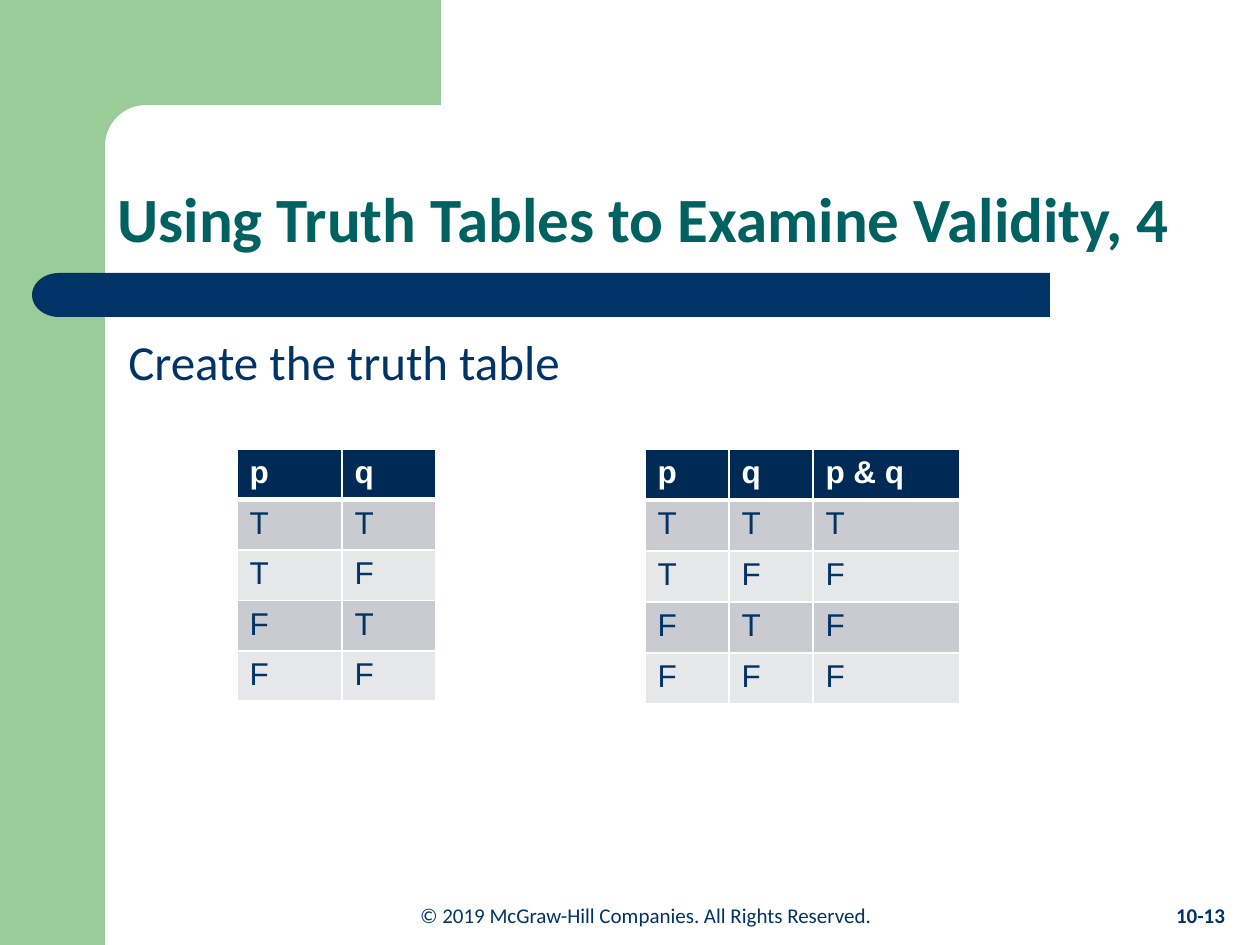
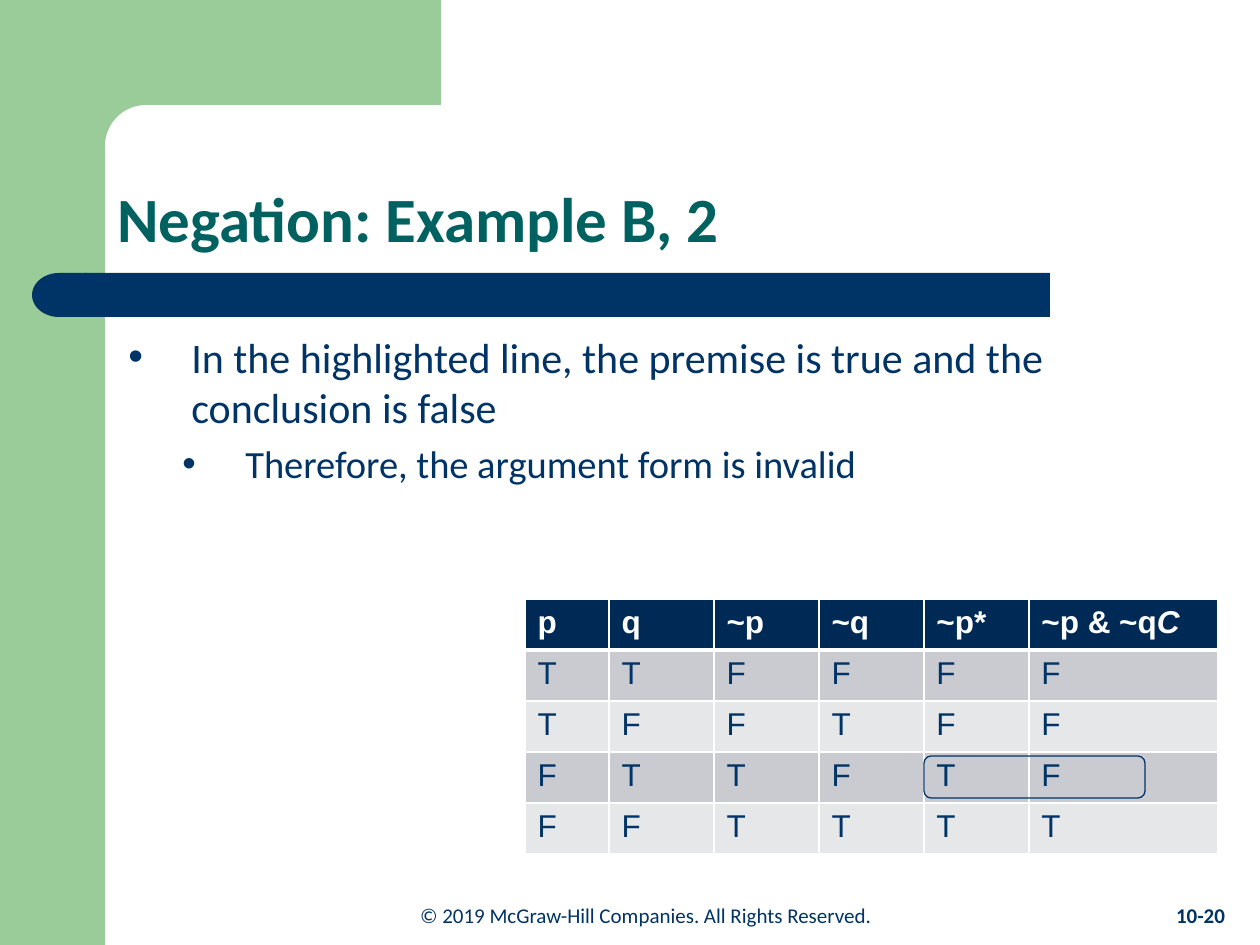
import math
from lxml import etree
from pptx import Presentation
from pptx.dml.color import RGBColor
from pptx.enum.shapes import MSO_SHAPE
from pptx.enum.text import MSO_ANCHOR, PP_ALIGN
from pptx.oxml.ns import qn
from pptx.util import Emu, Pt

RECT = MSO_SHAPE.RECTANGLE
ROUNDED = MSO_SHAPE.ROUNDED_RECTANGLE
DELAY = MSO_SHAPE.FLOWCHART_DELAY
CENTER = PP_ALIGN.CENTER
LEFT = PP_ALIGN.LEFT
TOP = MSO_ANCHOR.TOP
BOTTOM = MSO_ANCHOR.BOTTOM

SCALE = 914400 / 126
PAGE_WIDTH, PAGE_HEIGHT = 1260, 945
COLORS = {
    "green": "99CC99",
    "navy": "003366",
    "teal": "006161",
    "header": "002A56",
    "odd": "CACBD0",
    "even": "E6E7E9",
    "white": "FFFFFF",
}
COPYRIGHT = "© 2019 McGraw-Hill Companies. All Rights Reserved."
TITLE_BOX = (105, 105, 1092, 157)
BODY_BOX = (116, 325, 1060, 513)


def px(length):
    return Emu(round(length * SCALE))


def rgb(name):
    return RGBColor.from_string(COLORS[name])


def paint(shape, color):
    shape.shadow.inherit = False
    shape.fill.solid()
    shape.fill.fore_color.rgb = rgb(color)
    shape.line.fill.background()


def add_block(page, kind, box, color):
    block = page.shapes.add_shape(kind, *map(px, box))
    paint(block, color)
    return block


def style_font(font, size, color="navy", bold=False, name="Calibri"):
    font.name = name
    font.size = Pt(size)
    font.bold = bold
    font.color.rgb = rgb(color)


def add_text(page, box, text, size, color="navy", bold=False, align=LEFT, anchor=TOP):
    frame = page.shapes.add_textbox(*map(px, box)).text_frame
    frame.word_wrap = True
    frame.vertical_anchor = anchor
    frame.text = text
    for para in frame.paragraphs:
        para.alignment = align
        style_font(para.runs[0].font, size, color, bold)
    return frame


def add_corner(page, left, top, right, bottom, band, radius):
    inner_left, inner_top = left + 42, top + band
    center_x, center_y = inner_left + radius, inner_top + radius
    arc = []
    for step in range(13):
        angle = math.pi / 2 * step / 12
        arc.append((center_x - radius * math.sin(angle), center_y - radius * math.cos(angle)))
    points = [(right, inner_top), *arc, (inner_left, bottom), (left, bottom), (left, top)]
    builder = page.shapes.build_freeform(px(right), px(top))
    builder.add_line_segments([(px(x), px(y)) for x, y in points], close=True)
    paint(builder.convert_to_shape(), "green")


def add_title_bar(page, left, top, width, height):
    cap_width = 54
    add_block(page, RECT, (left + cap_width - 1, top, width - cap_width + 1, height), "navy")
    cap = add_block(page, DELAY, (left, top, cap_width, height), "navy")
    cap.rotation = 180


def add_footer(page, top, height, number):
    add_text(page, (116, top, 1060, height), COPYRIGHT, 12, align=CENTER)
    add_text(page, (1148, top, 105, height), number, 12, bold=True, align=CENTER)


def add_page(deck, title, number):
    page = deck.slides.add_slide(deck.slide_layouts[6])
    add_block(page, RECT, (0, 0, 105, PAGE_HEIGHT), "green")
    add_corner(page, 63, 0, 441, 161, 105, 41)
    add_title_bar(page, 32, 273, 1018, 44)
    add_footer(page, 896, 38, number)
    heading = add_text(page, TITLE_BOX, title, 36, "teal", True, anchor=BOTTOM)
    heading.paragraphs[0].line_spacing = 0.9
    return page


def add_bullet(para, text, size, level, indent, space):
    para.text = text
    para.level = level
    para.space_before = Pt(space)
    properties = para._p.get_or_add_pPr()
    properties.set("marL", str(px(indent)))
    properties.set("indent", str(px(-63)))
    etree.SubElement(properties, qn("a:buFont"), typeface="Arial")
    etree.SubElement(properties, qn("a:buChar"), char="•")
    style_font(para.runs[0].font, size)


def add_border(cell, side, width):
    line = etree.SubElement(cell._tc.get_or_add_tcPr(), qn("a:" + side), w=str(Pt(width)))
    fill = etree.SubElement(line, qn("a:solidFill"))
    etree.SubElement(fill, qn("a:srgbClr"), val=COLORS["white"])


def fill_cell(cell, spans, row):
    para = cell.text_frame.paragraphs[0]
    for index, text in enumerate(spans):
        span = para.add_run()
        span.text = text
        style_font(span.font, 18, "navy" if row else "white", row == 0, "Arial")
        span.font.italic = index > 0
    for side in ("lnL", "lnR", "lnT", "lnB"):
        thick = (row, side) in ((0, "lnB"), (1, "lnT"))
        add_border(cell, side, 3 if thick else 1)
    cell.fill.solid()
    cell.fill.fore_color.rgb = rgb(("odd" if row % 2 else "even") if row else "header")


def add_truth_table(page, left, top, widths, row_height, headers, values):
    rows = [headers] + [[[value] for value in line] for line in values.split()]
    box = (left, top, sum(widths), row_height * len(rows))
    table = page.shapes.add_table(len(rows), len(widths), *map(px, box)).table
    for column, width in zip(table.columns, widths):
        column.width = px(width)
    for row, cells in enumerate(rows):
        table.rows[row].height = px(row_height)
        for column, spans in enumerate(cells):
            fill_cell(table.cell(row, column), spans, row)


def add_highlight(page, box):
    highlight = page.shapes.add_shape(ROUNDED, *map(px, box))
    highlight.shadow.inherit = False
    highlight.fill.background()
    highlight.line.color.rgb = rgb("navy")
    highlight.line.width = Pt(0.75)


def build_validity_page(deck):
    page = add_page(deck, "Using Truth Tables to Examine Validity, 4", "10-13")
    add_text(page, BODY_BOX, "Create the truth table", 28)
    add_truth_table(page, 237, 449, (105, 94), 48, [["p"], ["q"]], "TT TF FT FF")
    add_truth_table(page, 645, 449, (84, 84, 147), 51,
                    [["p"], ["q"], ["p & q"]], "TTT TFF FTF FFF")


def build_negation_page(deck):
    page = add_page(deck, "Negation: Example B, 2", "10-20")
    body = page.shapes.add_textbox(*map(px, BODY_BOX)).text_frame
    body.word_wrap = True
    add_bullet(body.paragraphs[0],
               "In the highlighted line, the premise is true and the conclusion is false",
               24, 0, 63, 0)
    add_bullet(body.add_paragraph(), "Therefore, the argument form is invalid", 22, 1, 117, 4.4)
    headers = [["p"], ["q"], ["~p"], ["~q"], ["~p*"], ["~p & ~q", "C"]]
    add_truth_table(page, 525, 599, (84, 105, 105, 105, 105, 189), 51,
                    headers, "TTFFFF TFFTFF FTTFTF FFTTTT")
    add_highlight(page, (924, 756, 221, 42))


def main():
    deck = Presentation()
    deck.slide_width = px(PAGE_WIDTH)
    deck.slide_height = px(PAGE_HEIGHT)
    build_validity_page(deck)
    build_negation_page(deck)
    deck.save("out.pptx")


if __name__ == "__main__":
    main()
